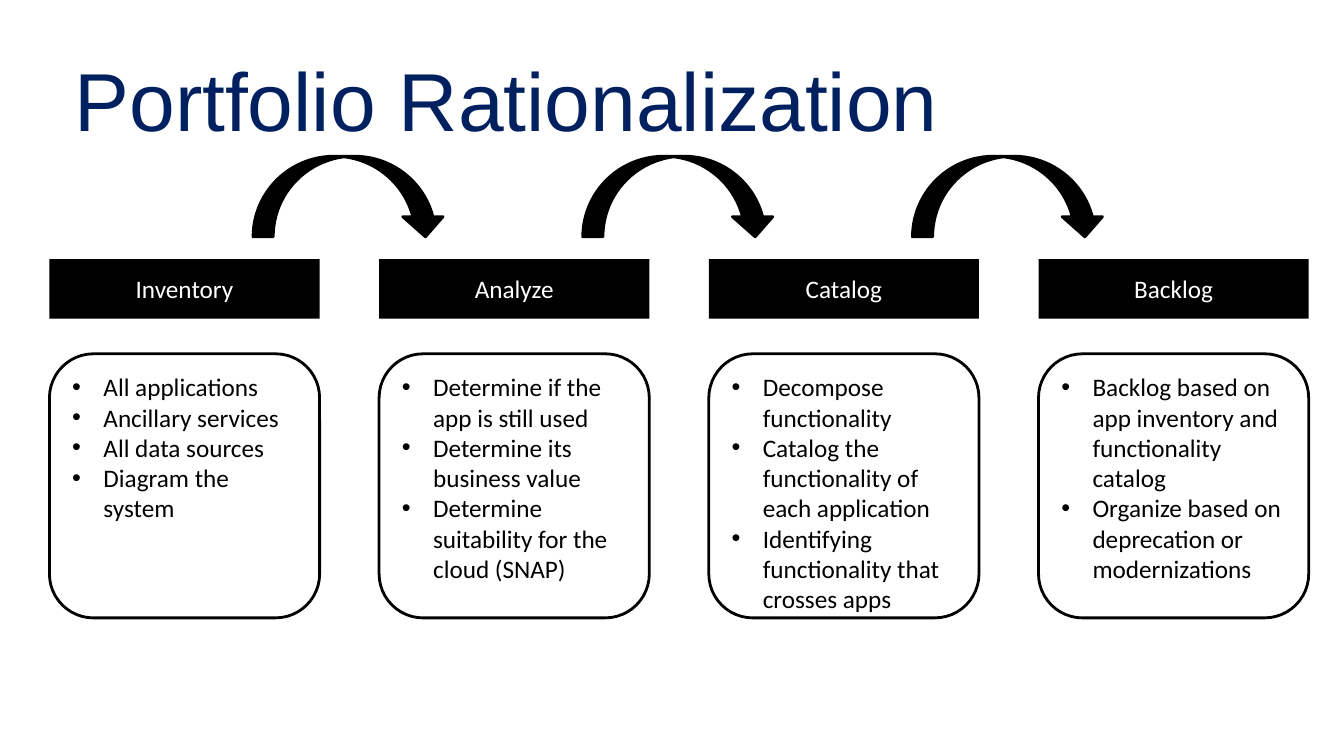
from dataclasses import dataclass

from lxml import etree
from pptx import Presentation
from pptx.dml.color import RGBColor
from pptx.enum.shapes import MSO_SHAPE
from pptx.enum.text import MSO_ANCHOR, PP_ALIGN
from pptx.oxml.ns import qn
from pptx.shapes.autoshape import Shape
from pptx.slide import Slide
from pptx.text.text import _Paragraph
from pptx.util import Inches, Pt

RECTANGLE = MSO_SHAPE.RECTANGLE
ROUNDED = MSO_SHAPE.ROUNDED_RECTANGLE
CURVED_ARROW = MSO_SHAPE.CURVED_DOWN_ARROW
MIDDLE, TOP = MSO_ANCHOR.MIDDLE, MSO_ANCHOR.TOP
CENTER, LEFT = PP_ALIGN.CENTER, PP_ALIGN.LEFT

BLACK = RGBColor(0x00, 0x00, 0x00)
WHITE = RGBColor(0xFF, 0xFF, 0xFF)
NAVY = RGBColor(0x00, 0x20, 0x60)

# Columns share one pitch; all lengths are in inches
PITCH = 3.27
STAGE_LEFT, STAGE_WIDTH = 0.49, 2.68
HEADER_TOP, HEADER_HEIGHT = 2.57, 0.59
DETAIL_TOP, DETAIL_HEIGHT = 3.51, 2.62
ARROW_LEFT, ARROW_TOP, ARROW_WIDTH, ARROW_HEIGHT = 2.51, 1.55, 1.91, 0.8
BULLET_INDENT = 0.31


@dataclass
class Stage:
    name: str
    details: list[str]


STAGES = [
    Stage("Inventory", ["All applications", "Ancillary services",
                        "All data sources", "Diagram the system"]),
    Stage("Analyze", ["Determine if the app is still used",
                      "Determine its business value",
                      "Determine suitability for the cloud (SNAP)"]),
    Stage("Catalog", ["Decompose functionality",
                      "Catalog the functionality of each application",
                      "Identifying functionality that crosses apps"]),
    Stage("Backlog", ["Backlog based on app inventory and functionality catalog",
                      "Organize based on deprecation or modernizations"]),
]


def add_block(slide: Slide, kind: MSO_SHAPE, left: float, top: float, width: float,
              height: float, fill: RGBColor, outlined: bool) -> Shape:
    block = slide.shapes.add_shape(
        kind, Inches(left), Inches(top), Inches(width), Inches(height))
    block.shadow.inherit = False
    block.fill.solid()
    block.fill.fore_color.rgb = fill
    if outlined:
        block.line.color.rgb = BLACK
        block.line.width = Pt(2)
    else:
        block.line.fill.background()
    return block


def style(paragraph: _Paragraph, font: str, size: float, color: RGBColor,
          alignment: PP_ALIGN) -> None:
    paragraph.alignment = alignment
    for run in paragraph.runs:
        run.font.name = font
        run.font.size = Pt(size)
        run.font.color.rgb = color


def add_bullet(paragraph: _Paragraph) -> None:
    properties = paragraph._p.get_or_add_pPr()
    properties.set("marL", str(Inches(BULLET_INDENT)))
    properties.set("indent", str(-Inches(BULLET_INDENT)))
    etree.SubElement(properties, qn("a:buFont"), typeface="Arial")
    etree.SubElement(properties, qn("a:buChar"), char="•")


def add_title(slide: Slide, text: str) -> None:
    title = slide.shapes.add_textbox(Inches(0.67), Inches(0.3), Inches(12), Inches(1.25))
    frame = title.text_frame
    frame.word_wrap = True
    frame.vertical_anchor = MIDDLE
    frame.margin_left = Inches(0.07)
    frame.margin_top = Inches(0.15)
    frame.text = text
    style(frame.paragraphs[0], "Arial", 58.7, NAVY, LEFT)


def add_stage(slide: Slide, stage: Stage, left: float) -> None:
    header = add_block(slide, RECTANGLE, left, HEADER_TOP, STAGE_WIDTH,
                       HEADER_HEIGHT, BLACK, outlined=False)
    header.text_frame.text = stage.name
    header.text_frame.vertical_anchor = MIDDLE
    style(header.text_frame.paragraphs[0], "Calibri", 18, WHITE, CENTER)

    details = add_block(slide, ROUNDED, left, DETAIL_TOP, STAGE_WIDTH,
                        DETAIL_HEIGHT, WHITE, outlined=True)
    details.text_frame.text = "\n".join(stage.details)
    details.text_frame.vertical_anchor = TOP
    for paragraph in details.text_frame.paragraphs:
        style(paragraph, "Calibri", 18, BLACK, LEFT)
        add_bullet(paragraph)


def main() -> None:
    deck = Presentation()
    deck.slide_width, deck.slide_height = Inches(13.33), Inches(7.5)
    slide = deck.slides.add_slide(deck.slide_layouts[6])

    add_title(slide, "Portfolio Rationalization")

    # Stage columns
    for column, stage in enumerate(STAGES):
        add_stage(slide, stage, STAGE_LEFT + column * PITCH)

    # Arrows from each stage to the next
    for gap in range(len(STAGES) - 1):
        add_block(slide, CURVED_ARROW, ARROW_LEFT + gap * PITCH, ARROW_TOP,
                  ARROW_WIDTH, ARROW_HEIGHT, BLACK, outlined=True)

    deck.save("out.pptx")


if __name__ == "__main__":
    main()
